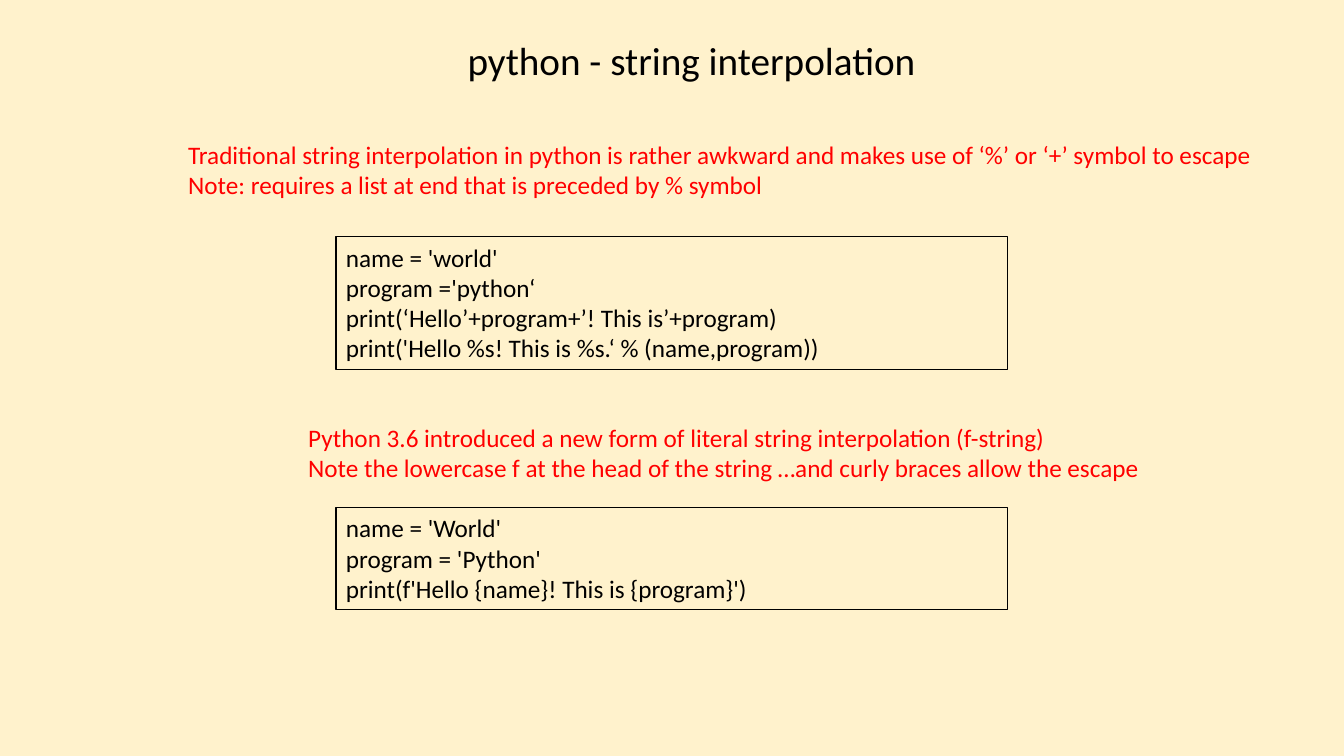
from dataclasses import dataclass

from pptx import Presentation
from pptx.dml.color import RGBColor
from pptx.enum import shapes, text
from pptx.util import Pt


@dataclass(frozen=True)
class Theme:
    background: RGBColor = RGBColor(0xFF, 0xF2, 0xCC)
    ink: RGBColor = RGBColor(0, 0, 0)
    note: RGBColor = RGBColor(0xFF, 0, 0)
    font: str = "Calibri"
    title_size: int = 28
    body_size: int = 18
    border: float = 0.75


THEME = Theme()
CODE_LEFT, CODE_WIDTH = 240, 480


def set_format(target, values):
    for name, value in values.items():
        setattr(target, name, value)


def write_lines(box, lines, size, color, wrap):
    """Fill the box with one left-aligned paragraph per line."""
    frame = box.text_frame
    set_format(frame, {
        "word_wrap": wrap,
        "auto_size": text.MSO_AUTO_SIZE.SHAPE_TO_FIT_TEXT,
        "vertical_anchor": text.MSO_ANCHOR.TOP,
    })
    for index, line in enumerate(lines):
        para = frame.add_paragraph() if index else frame.paragraphs[0]
        para.alignment = text.PP_ALIGN.LEFT
        span = para.add_run()
        span.text = line
        set_format(span.font, {"name": THEME.font, "size": Pt(size)})
        span.font.color.rgb = color


def add_label(page, left, top, width, height, lines, size, color):
    box = page.shapes.add_textbox(Pt(left), Pt(top), Pt(width), Pt(height))
    write_lines(box, lines, size, color, wrap=False)


def add_code(page, top, height, lines):
    box = page.shapes.add_shape(
        shapes.MSO_SHAPE.RECTANGLE,
        Pt(CODE_LEFT), Pt(top), Pt(CODE_WIDTH), Pt(height))
    box.shadow.inherit = False
    box.fill.background()
    box.line.color.rgb = THEME.ink
    box.line.width = Pt(THEME.border)
    write_lines(box, lines, THEME.body_size, THEME.ink, wrap=True)


def main():
    deck = Presentation()
    set_format(deck, {"slide_width": Pt(960), "slide_height": Pt(540)})
    page = deck.slides.add_slide(deck.slide_layouts[6])
    page.background.fill.solid()
    page.background.fill.fore_color.rgb = THEME.background

    add_label(page, 326.9, 22.3, 338.4, 41.2,
              ["python - string interpolation"], THEME.title_size, THEME.ink)
    add_label(page, 127.4, 95.8, 782.6, 50.9, [
        "Traditional string interpolation in python is rather awkward "
        "and makes use of ‘%’ or ‘+’ symbol to escape",
        "Note: requires a list at end that is preceded by % symbol",
    ], THEME.body_size, THEME.note)
    add_code(page, 169.2, 94.5, [
        "name = 'world'",
        "program ='python‘",
        "print(‘Hello’+program+’! This is’+program)",
        "print('Hello %s! This is %s.‘ % (name,program))",
    ])
    add_label(page, 213.1, 298.1, 619.2, 50.9, [
        "Python 3.6 introduced a new form of literal string interpolation (f-string)",
        "Note the lowercase f at the head of the string …and curly braces "
        "allow the escape",
    ], THEME.body_size, THEME.note)
    add_code(page, 362.6, 72.7, [
        "name = 'World'",
        "program = 'Python'",
        "print(f'Hello {name}! This is {program}')",
    ])
    deck.save("out.pptx")


if __name__ == "__main__":
    main()
